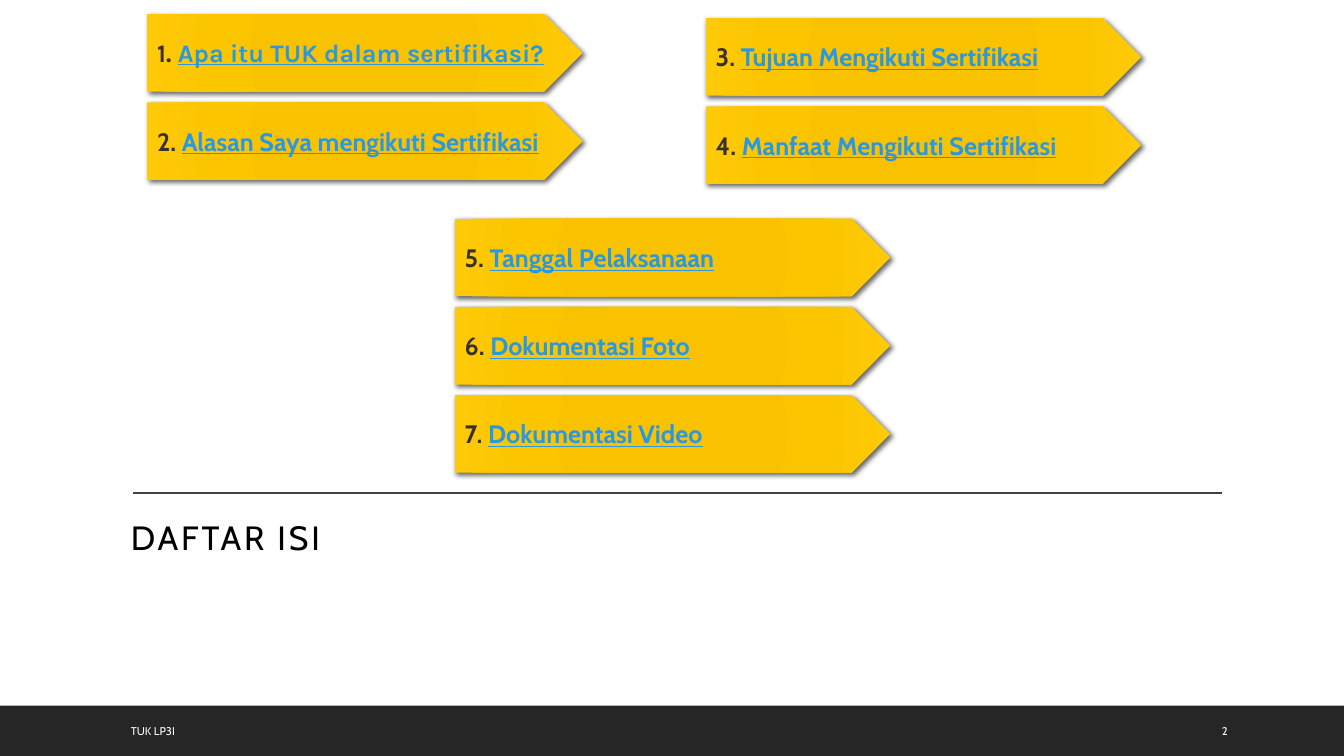
from lxml.etree import SubElement
from pptx import Presentation
from pptx.dml.color import RGBColor
from pptx.enum.shapes import MSO_CONNECTOR, MSO_SHAPE
from pptx.enum.text import MSO_ANCHOR, PP_ALIGN
from pptx.oxml import parse_xml
from pptx.oxml.ns import nsdecls, qn
from pptx.util import Inches, Pt

WHITE = RGBColor(0xFF, 0xFF, 0xFF)
BLACK = RGBColor(0x00, 0x00, 0x00)
FOOTER_FILL = RGBColor(0x26, 0x26, 0x26)
RULE = RGBColor(0x40, 0x40, 0x40)
NUMBER = RGBColor(0x39, 0x30, 0x2A)
LINK = RGBColor(0x29, 0x98, 0xE3)
GOLD_STOPS = [(0, RGBColor(0xF5, 0xC0, 0x00)), (34, RGBColor(0xF8, 0xC2, 0x00)),
              (70, RGBColor(0xFB, 0xC5, 0x00)), (100, RGBColor(0xFF, 0xCA, 0x08))]

ROW_PITCH = 0.875
# left, top of the first arrow, entries
COLUMNS = [
    (1.46, 0.14, ["Apa itu TUK dalam sertifikasi?", "Alasan Saya mengikuti Sertifikasi"]),
    (7, 0.18, ["Tujuan Mengikuti Sertifikasi", "Manfaat Mengikuti Sertifikasi"]),
    (4.51, 2.17, ["Tanggal Pelaksanaan", "Dokumentasi Foto", "Dokumentasi Video"]),
]

STOPS_XML = "".join(
    f'<a:gs pos="{percent * 1000}"><a:srgbClr val="{color}"/></a:gs>'
    for percent, color in GOLD_STOPS)
GOLD_XML = (
    f'<a:gradFill {nsdecls("a")} rotWithShape="1"><a:gsLst>{STOPS_XML}</a:gsLst>'
    '<a:path path="circle"><a:fillToRect l="100000" t="100000" r="100000" b="100000"/>'
    '</a:path></a:gradFill>')
SHADOW_XML = (
    f'<a:outerShdw {nsdecls("a")} blurRad="{Pt(3.5)}" dist="{Pt(2)}" dir="2700000" '
    'algn="tl" rotWithShape="0"><a:srgbClr val="000000"><a:alpha val="60000"/>'
    '</a:srgbClr></a:outerShdw>')


def add_run(paragraph, text, color, **formats):
    run = paragraph.add_run()
    run.text = text
    run.font.color.rgb = color
    for name, value in formats.items():
        setattr(run.font, name, value)
    return run


def add_label(text, left, top, width, height, anchor, size, color):
    frame = slide.shapes.add_textbox(
        Inches(left), Inches(top), Inches(width), Inches(height)).text_frame
    frame.word_wrap = True
    frame.vertical_anchor = anchor
    return add_run(frame.paragraphs[0], text, color, name="Cabin", size=Pt(size))


prs = Presentation()
prs.slide_width = Inches(13.33)
prs.slide_height = Inches(7.5)
slide = prs.slides.add_slide(prs.slide_layouts[6])
slide.background.fill.solid()
slide.background.fill.fore_color.rgb = WHITE

footer = slide.shapes.add_shape(
    MSO_SHAPE.RECTANGLE, 0, Inches(7), Inches(13.33), Inches(0.5))
footer.shadow.inherit = False
footer.fill.solid()
footer.fill.fore_color.rgb = FOOTER_FILL
footer.line.fill.background()

rule = slide.shapes.add_connector(
    MSO_CONNECTOR.STRAIGHT, Inches(1.32), Inches(4.89), Inches(12.12), Inches(4.89))
rule.line.color.rgb = RULE
rule.line.width = Pt(1)
SubElement(rule._element.spPr, qn("a:effectLst"))

title = add_label("DAFTAR ISI", 1.2, 5.08, 11, 1.25, MSO_ANCHOR.TOP, 24, BLACK)
title._r.get_or_add_rPr().set("spc", "200")

number = 0
for left, first_top, entries in COLUMNS:
    for row, entry in enumerate(entries):
        number += 1
        arrow = slide.shapes.add_shape(
            MSO_SHAPE.PENTAGON, Inches(left), Inches(first_top + row * ROW_PITCH),
            Inches(4.32), Inches(0.77))
        arrow.line.fill.background()
        arrow.shadow.inherit = False
        properties = arrow._element.spPr
        properties.find(qn("a:prstGeom")).addnext(parse_xml(GOLD_XML))
        properties.find(qn("a:effectLst")).append(parse_xml(SHADOW_XML))

        arrow.text_frame.vertical_anchor = MSO_ANCHOR.MIDDLE
        line = arrow.text_frame.paragraphs[0]
        line.alignment = PP_ALIGN.LEFT
        entry_format = {"name": "Karla" if number == 1 else "Cabin",
                        "size": Pt(18), "bold": True}
        add_run(line, f"{number}. ", NUMBER, **entry_format)
        add_run(line, entry, LINK, underline=True, **entry_format)

for text, left, width in [("TUK LP3I", 1.2, 7.46), ("2", 12.02, 0.85)]:
    add_label(text, left, 7.05, width, 0.4, MSO_ANCHOR.MIDDLE, 8, WHITE)

prs.save("out.pptx")
